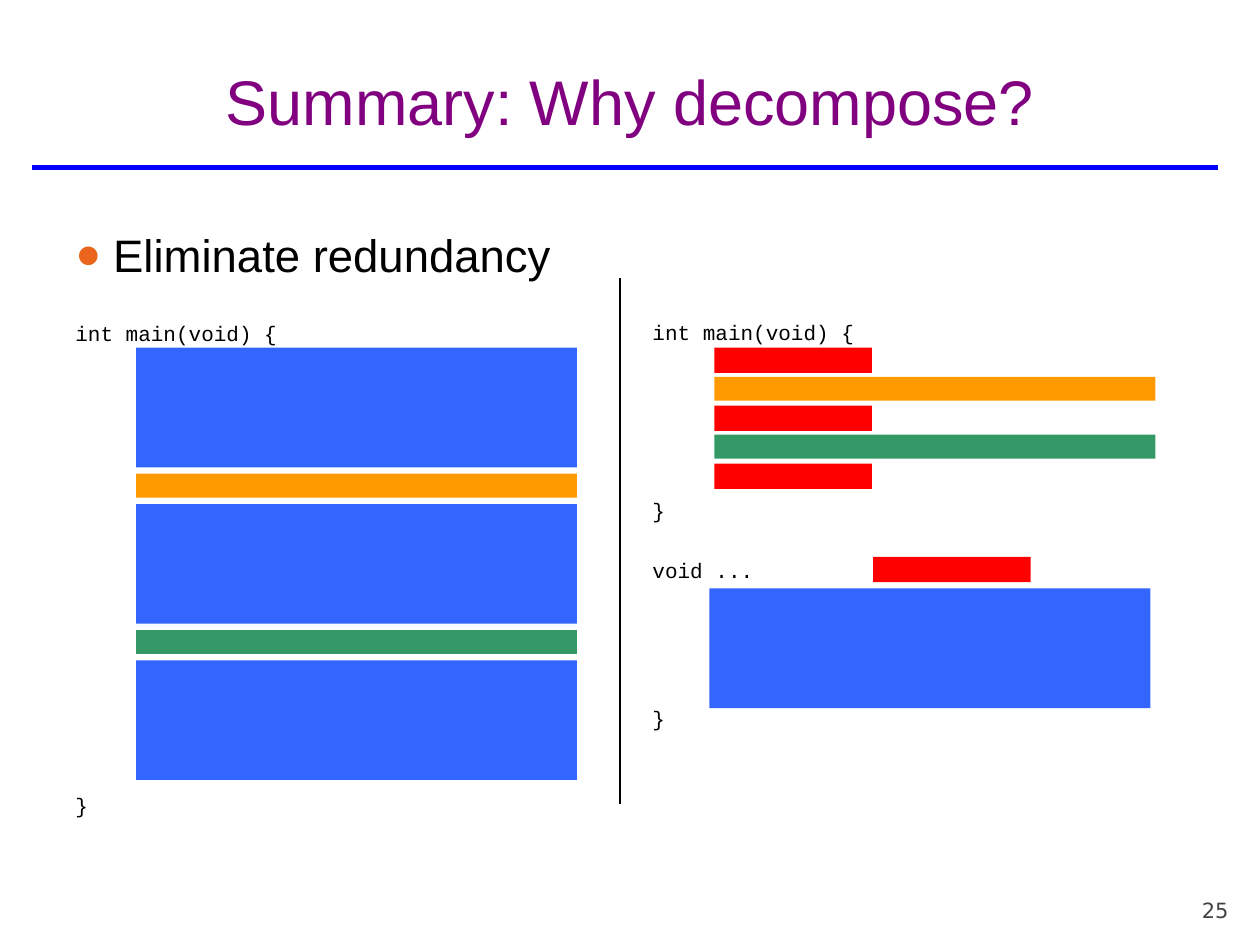
from lxml.etree import SubElement
from pptx import Presentation
from pptx.dml.color import RGBColor
from pptx.enum.shapes import MSO_CONNECTOR as Connector, MSO_SHAPE as Shape
from pptx.enum.text import MSO_ANCHOR as Anchor, PP_ALIGN as Align
from pptx.oxml.ns import qn
from pptx.util import Inches, Pt

BLUE, ORANGE, GREEN, RED = "3366FF", "FF9900", "339966", "FF0000"
TITLE = {"name": "Arial", "size": 36, "color": "800080"}
POINT = {"name": "Arial", "size": 26, "color": "000000"}
CODE = {"name": "Courier New", "size": 12, "color": "000000"}
NUMBER = {"name": "DejaVu Sans", "size": 12, "color": "424242"}

TEXTS = [
    {"area": (0.5, 0.33, 9, 0.77), "insets": (0, 0.05, 0, 0),
     "anchor": Anchor.BOTTOM, "align": Align.CENTER,
     "lines": [("Summary: Why decompose?", TITLE, 0)]},
    {"area": (0.5, 1.75, 4.67, 4.9),
     "lines": [("Eliminate redundancy", POINT, 0),
               ("int main(void) {", CODE, 22.5),
               ("}", CODE, 255)]},
    {"area": (5.08, 2.49, 4.42, 4.6),
     "lines": [("int main(void) {", CODE, 0),
               ("}", CODE, 87),
               ("void ...", CODE, 20),
               ("}", CODE, 70.4)]},
    {"area": (8.92, 6.92, 0.83, 0.4), "insets": (0, 0, 0, 0),
     "anchor": Anchor.BOTTOM, "align": Align.RIGHT,
     "lines": [("25", NUMBER, 0)]},
]

BLOCK_TOP, WIDE, CALL_WIDTH = 2.76, 3.5, 1.25
BLOCK, STRIP, CALL = 0.95, 0.19, 0.2
REPEATED = [(BLUE, BLOCK), (ORANGE, STRIP), (BLUE, BLOCK),
            (GREEN, STRIP), (BLUE, BLOCK)]
REPEATED_LEFT, REPEATED_GAP = 1.08, 0.05
DECOMPOSED = [(RED, CALL_WIDTH, CALL), (ORANGE, WIDE, STRIP),
              (RED, CALL_WIDTH, CALL), (GREEN, WIDE, STRIP),
              (RED, CALL_WIDTH, CALL)]
DECOMPOSED_LEFT, DECOMPOSED_PITCH = 5.67, 0.23
FUNCTION = [(RED, (6.93, 4.42, CALL_WIDTH, CALL)),
            (BLUE, (5.63, 4.67, WIDE, BLOCK))]

RULES = [((0.25, 1.33, 9.67, 1.33), "0000FF", 3),
         ((4.92, 2.21, 4.92, 6.38), "000000", 1.5)]


def rgb(value):
    return RGBColor.from_string(value)


def inches(lengths):
    return [Inches(length) for length in lengths]


def add_bullet(paragraph):
    properties = paragraph._p.get_or_add_pPr()
    color = SubElement(properties, qn("a:buClr"))
    SubElement(color, qn("a:srgbClr"), val="EB641B")
    SubElement(properties, qn("a:buSzPct"), val="95000")
    SubElement(properties, qn("a:buFont"), typeface="Arial")
    SubElement(properties, qn("a:buChar"), char="●")
    properties.set("marL", str(Inches(0.3)))
    properties.set("indent", str(-Inches(0.3)))


def add_text(slide, area, lines, insets=(0.1, 0.05, 0.1, 0.05),
             anchor=Anchor.TOP, align=Align.LEFT):
    frame = slide.shapes.add_textbox(*inches(area)).text_frame
    frame.word_wrap = True
    frame.vertical_anchor = anchor
    for side, inset in zip(("left", "top", "right", "bottom"), inches(insets)):
        setattr(frame, f"margin_{side}", inset)
    for index, (words, style, gap) in enumerate(lines):
        paragraph = frame.add_paragraph() if index else frame.paragraphs[0]
        paragraph.alignment = align
        paragraph.space_before = Pt(gap)
        if style is POINT:
            add_bullet(paragraph)
        run = paragraph.add_run()
        run.text = words
        formats = {"name": style["name"], "size": Pt(style["size"])}
        for key, value in formats.items():
            setattr(run.font, key, value)
        run.font.color.rgb = rgb(style["color"])


def add_block(slide, color, area):
    block = slide.shapes.add_shape(Shape.RECTANGLE, *inches(area))
    block.shadow.inherit = False
    block.fill.solid()
    block.fill.fore_color.rgb = rgb(color)
    block.line.fill.background()


def add_rule(slide, ends, color, width):
    rule = slide.shapes.add_connector(Connector.STRAIGHT, *inches(ends))
    rule.line.color.rgb = rgb(color)
    rule.line.width = Pt(width)
    SubElement(rule._element.spPr, qn("a:effectLst"))


def main():
    deck = Presentation()
    deck.slide_width, deck.slide_height = inches((10, 7.5))
    slide = deck.slides.add_slide(deck.slide_layouts[6])

    for text in TEXTS:
        add_text(slide, **text)
    for rule in RULES:
        add_rule(slide, *rule)

    top = BLOCK_TOP
    for color, height in REPEATED:
        add_block(slide, color, (REPEATED_LEFT, top, WIDE, height))
        top += height + REPEATED_GAP
    for row, (color, width, height) in enumerate(DECOMPOSED):
        top = BLOCK_TOP + row * DECOMPOSED_PITCH
        add_block(slide, color, (DECOMPOSED_LEFT, top, width, height))
    for color, area in FUNCTION:
        add_block(slide, color, area)

    deck.save("out.pptx")


if __name__ == "__main__":
    main()
